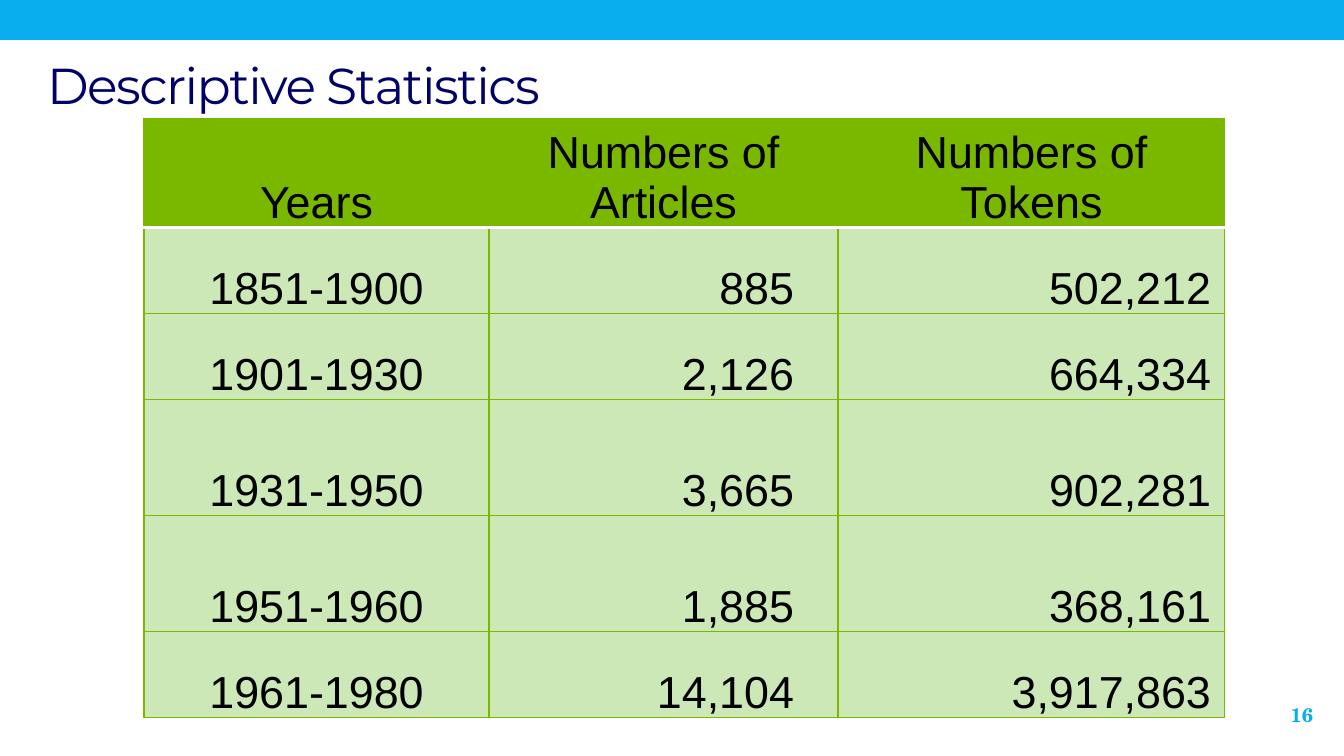
from lxml import etree
from pptx import Presentation
from pptx.dml.color import RGBColor
from pptx.enum.shapes import MSO_SHAPE
from pptx.enum.text import MSO_ANCHOR, PP_ALIGN
from pptx.oxml.ns import qn
from pptx.util import Pt

RECT = MSO_SHAPE.RECTANGLE
MIDDLE, BOTTOM = MSO_ANCHOR.MIDDLE, MSO_ANCHOR.BOTTOM
LEFT, CENTER, RIGHT = PP_ALIGN.LEFT, PP_ALIGN.CENTER, PP_ALIGN.RIGHT

SKY = RGBColor(0x09, 0xAE, 0xEF)
NAVY = RGBColor(0x00, 0x00, 0x68)
GREEN = RGBColor(0x7A, 0xB8, 0x00)
PALE = RGBColor(0xCC, 0xE8, 0xB6)
BLACK = RGBColor(0, 0, 0)
WHITE = RGBColor(0xFF, 0xFF, 0xFF)


def px(n):
    return round(n * 914400 / 134.4)


def style(frame, font, size, color, align, bold=False):
    para = frame.paragraphs[0]
    para.alignment = align
    face = para.runs[0].font
    face.name, face.size, face.bold = font, Pt(size), bold
    face.color.rgb = color


deck = Presentation()
deck.slide_width, deck.slide_height = px(1344), px(756)
slide = deck.slides.add_slide(deck.slide_layouts[5])

# Top band
band = slide.shapes.add_shape(RECT, 0, 0, px(1344), px(40))
band.shadow.inherit = False
band.fill.solid()
band.fill.fore_color.rgb = SKY
band.line.fill.background()

# Title
title = slide.shapes.title
title.left, title.top, title.width, title.height = px(34), px(39), px(1252), px(90)
frame = title.text_frame
frame.text = "Descriptive Statistics"
frame.vertical_anchor = MIDDLE
frame.margin_left = frame.margin_right = px(13)
style(frame, "Montserrat", 27, NAVY, LEFT)
frame.paragraphs[0].runs[0].font._element.set("spc", "-80")

# Page number
page = slide.shapes.add_textbox(px(1246), px(686), px(80), px(58))
frame = page.text_frame
frame.word_wrap = True
frame.text = "16"
frame.vertical_anchor = MIDDLE
frame.margin_left = frame.margin_right = px(13)
style(frame, "TeX Gyre Schola", 10.5, SKY, RIGHT, True)

# Table
rows = [
    ("Years", "Numbers of Articles", "Numbers of Tokens"),
    ("1851-1900", "885", "502,212"),
    ("1901-1930", "2,126", "664,334"),
    ("1931-1950", "3,665", "902,281"),
    ("1951-1960", "1,885", "368,161"),
    ("1961-1980", "14,104", "3,917,863"),
]
wide = [345, 349, 387]
high = [102, 86, 86, 116, 116, 86]
inset = [1, 44, 14]
aligns = [CENTER, RIGHT, RIGHT]

table = slide.shapes.add_table(
    len(rows), len(wide), px(144), px(119), px(sum(wide)), px(sum(high))
).table
for col, width in zip(table.columns, wide):
    col.width = px(width)
for row, height in zip(table.rows, high):
    row.height = px(height)

for r, row in enumerate(rows):
    for c, text in enumerate(row):
        head = r == 0
        cell = table.cell(r, c)
        cell.text = text
        cell.vertical_anchor = BOTTOM
        cell.margin_left = px(14 if head else 1)
        cell.margin_right = px(14 if head else inset[c])
        cell.margin_top, cell.margin_bottom = px(1), 0
        style(cell.text_frame, "Arial", 24, BLACK, CENTER if head else aligns[c])

        # Borders: white rule under the header, thin green elsewhere
        props = cell._tc.get_or_add_tcPr()
        for side in "LRTB":
            rule = (side, r) in (("B", 0), ("T", 1))
            line = etree.SubElement(props, qn("a:ln" + side), w=str(Pt(2.08 if rule else 0.75)))
            fill = etree.SubElement(line, qn("a:solidFill"))
            etree.SubElement(fill, qn("a:srgbClr"), val=str(WHITE if rule else GREEN))
        cell.fill.solid()
        cell.fill.fore_color.rgb = GREEN if head else PALE

deck.save("out.pptx")
